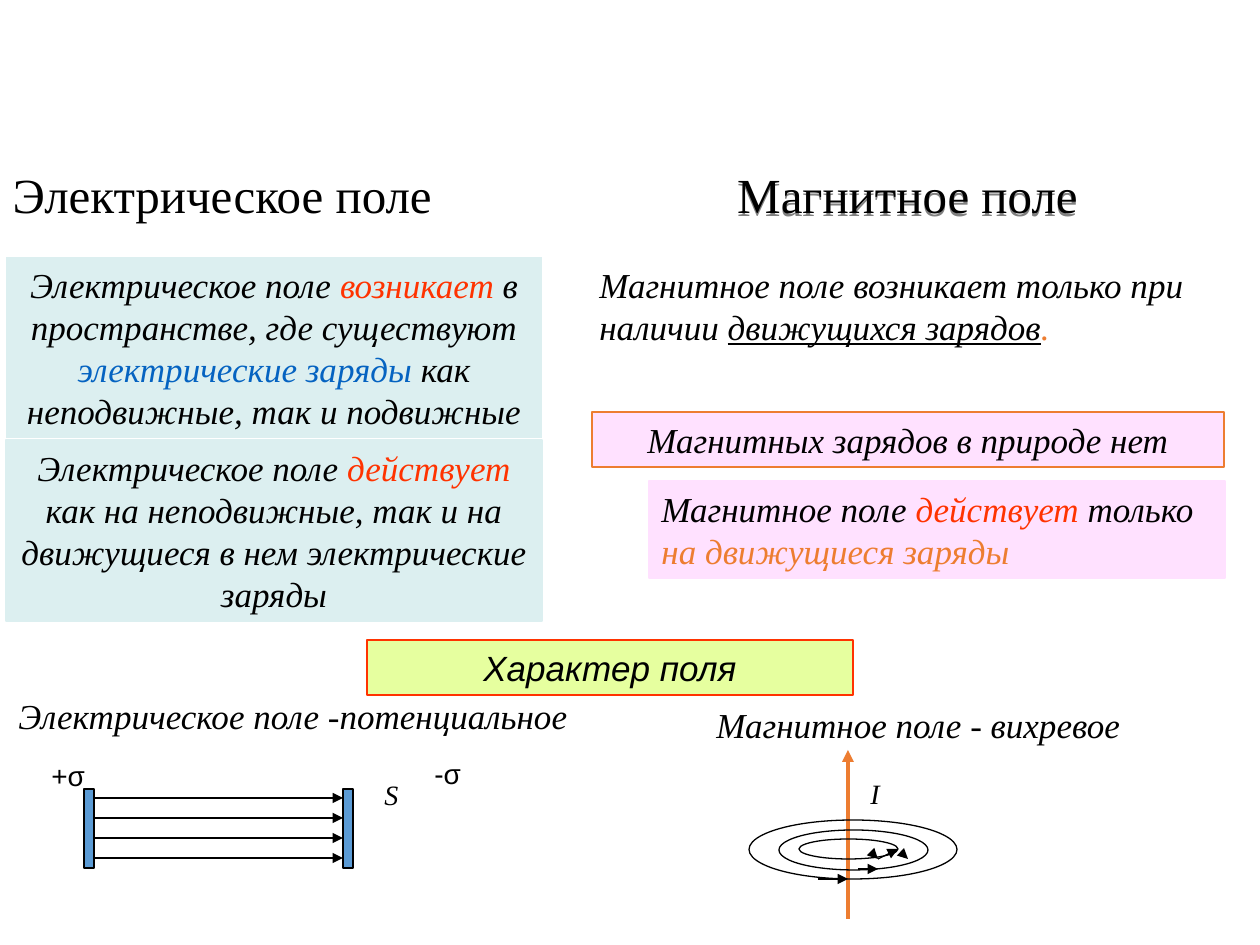
from lxml import etree
from pptx import Presentation
from pptx.dml.color import RGBColor
from pptx.enum.shapes import MSO_CONNECTOR, MSO_SHAPE
from pptx.enum.text import MSO_ANCHOR, MSO_AUTO_SIZE, PP_ALIGN
from pptx.oxml.ns import qn
from pptx.util import Emu, Pt

SCALE = 914400 / 126  # EMU per px
SERIF, SANS = "Times New Roman", "Arial"
BLACK, RED, ORANGE, LINK = "000000", "FF3300", "ED7D31", "0563C1"
AQUA, PINK, LIME, BLUE = "DCEFF0", "FFE1FF", "E6FF9F", "5B9BD5"


def px(*values):
    return [Emu(round(v * SCALE)) for v in values]


def rgb(value):
    return RGBColor.from_string(value)


def add_run(p, text, size=20, font=SERIF, color=BLACK, italic=True, underline=False):
    r = p.add_run()
    r.text = text
    r.font.size, r.font.name = Pt(size), font
    r.font.italic, r.font.underline, r.font.bold = italic, underline, False
    r.font.color.rgb = rgb(color)


class FieldSlide:
    """Holds the style and the current slide."""

    def __init__(self, prs):
        self.slide = prs.slides.add_slide(prs.slide_layouts[5])
        self.shapes = self.slide.shapes

    def fill_text(self, sp, parts, center=False, **fmt):
        """Parts are plain strings or (text, own format) pairs."""
        tf = sp.text_frame
        tf.word_wrap = True
        tf.auto_size = MSO_AUTO_SIZE.SHAPE_TO_FIT_TEXT
        tf.vertical_anchor = MSO_ANCHOR.TOP
        p = tf.paragraphs[0]
        p.alignment = PP_ALIGN.CENTER if center else PP_ALIGN.LEFT
        for part in parts:
            text, own = (part, {}) if isinstance(part, str) else part
            add_run(p, text, **{**fmt, **own})
        return sp

    def title(self, box, text, **fmt):
        sp = self.shapes.title
        sp.left, sp.top, sp.width, sp.height = px(*box)
        return self.fill_text(sp, [text], **fmt)

    def text(self, box, *parts, **fmt):
        return self.fill_text(self.shapes.add_textbox(*px(*box)), parts, **fmt)

    def shape(self, kind, box, fill=None, line=None, width=0.75):
        sp = self.shapes.add_shape(kind, *px(*box))
        sp.shadow.inherit = False
        if fill:
            sp.fill.solid()
            sp.fill.fore_color.rgb = rgb(fill)
        else:
            sp.fill.background()
        if line:
            sp.line.color.rgb = rgb(line)
            sp.line.width = Pt(width)
        else:
            sp.line.fill.background()
        return sp

    def panel(self, box, fill, *parts, line=None, width=0.75, **fmt):
        sp = self.shape(MSO_SHAPE.RECTANGLE, box, fill, line, width)
        return self.fill_text(sp, parts, **fmt)

    def arrow(self, x1, y1, x2, y2, color=BLACK, width=0.75):
        cx = self.shapes.add_connector(MSO_CONNECTOR.STRAIGHT, *px(x1, y1, x2, y2))
        cx.line.color.rgb = rgb(color)
        cx.line.width = Pt(width)
        sp_pr = cx._element.spPr
        etree.SubElement(sp_pr.find(qn("a:ln")), qn("a:tailEnd"), type="triangle")
        etree.SubElement(sp_pr, qn("a:effectLst"))

    def text_shadow(self, sp):
        effects = etree.SubElement(sp._element.spPr, qn("a:effectLst"))
        shadow = etree.SubElement(effects, qn("a:outerShdw"), dist="25400", dir="5400000")
        etree.SubElement(shadow, qn("a:srgbClr"), val="808080")


def main():
    prs = Presentation()
    prs.slide_width, prs.slide_height = px(1260, 945)
    s = FieldSlide(prs)

    # Column headings
    s.title((0, 158, 536, 72), "Электрическое поле", size=28, italic=False)
    heading = s.text((719, 158, 377, 72), "Магнитное поле",
                     center=True, size=28, italic=False)
    s.text_shadow(heading)

    # Electric field statements
    s.panel((6, 257, 536, 181), AQUA,
            "Электрическое поле ", ("возникает ", {"color": RED}),
            "в пространстве, где существуют ",
            ("электрические заряды", {"color": LINK}),
            " как неподвижные, так и подвижные", center=True)
    s.panel((6, 440, 536, 181), AQUA,
            "Электрическое поле ", ("действует", {"color": RED}),
            " как на неподвижные, так и на движущиеся в нем электрические заряды",
            line=AQUA, center=True)

    # Magnetic field statements
    s.text((587, 257, 640, 97),
           "Магнитное поле возникает только при наличии ",
           ("движущихся зарядов", {"underline": True}), (".", {"color": ORANGE}))
    s.panel((592, 412, 632, 55), PINK, "Магнитных зарядов в природе нет",
            line=ORANGE, width=1.5, center=True)
    s.panel((649, 481, 576, 97), PINK,
            "Магнитное поле ", ("действует ", {"color": RED}), "только ",
            ("на движущиеся заряды", {"color": ORANGE}), line=PINK)

    # Character of the field
    s.panel((367, 640, 486, 55), LIME, "Характер поля",
            line=RED, width=1, center=True, font=SANS)
    s.text((6, 688, 883, 55), "Электрическое поле -потенциальное")
    s.text((704, 697, 556, 55), "Магнитное поле - вихревое")

    # Charged plates with uniform field lines
    for x in (84, 343):
        s.shape(MSO_SHAPE.RECTANGLE, (x, 789, 10, 79), BLUE, BLACK)
    for i in range(4):
        y = 798 + 20 * i
        s.arrow(94, y, 343, y)
    s.text((39, 752, 69, 47), "+σ", size=16, font=SANS, italic=False)
    s.text((422, 750, 79, 47), "-σ", size=16, font=SANS, italic=False)
    s.text((372, 771, 49, 81), "S", size=16)

    # Current with circular field lines
    s.arrow(848, 919, 848, 750, ORANGE, 2.25)
    for box in ((799, 839, 99, 20), (779, 830, 149, 40), (749, 820, 208, 59)):
        s.shape(MSO_SHAPE.OVAL, box, line=BLACK)
    for ends in ((877, 858, 878, 859), (878, 859, 898, 849), (907, 858, 908, 859),
                 (818, 879, 848, 879), (858, 869, 878, 869)):
        s.arrow(*ends)
    s.text((858, 770, 49, 47), "I", size=16)

    prs.save("out.pptx")


if __name__ == "__main__":
    main()
